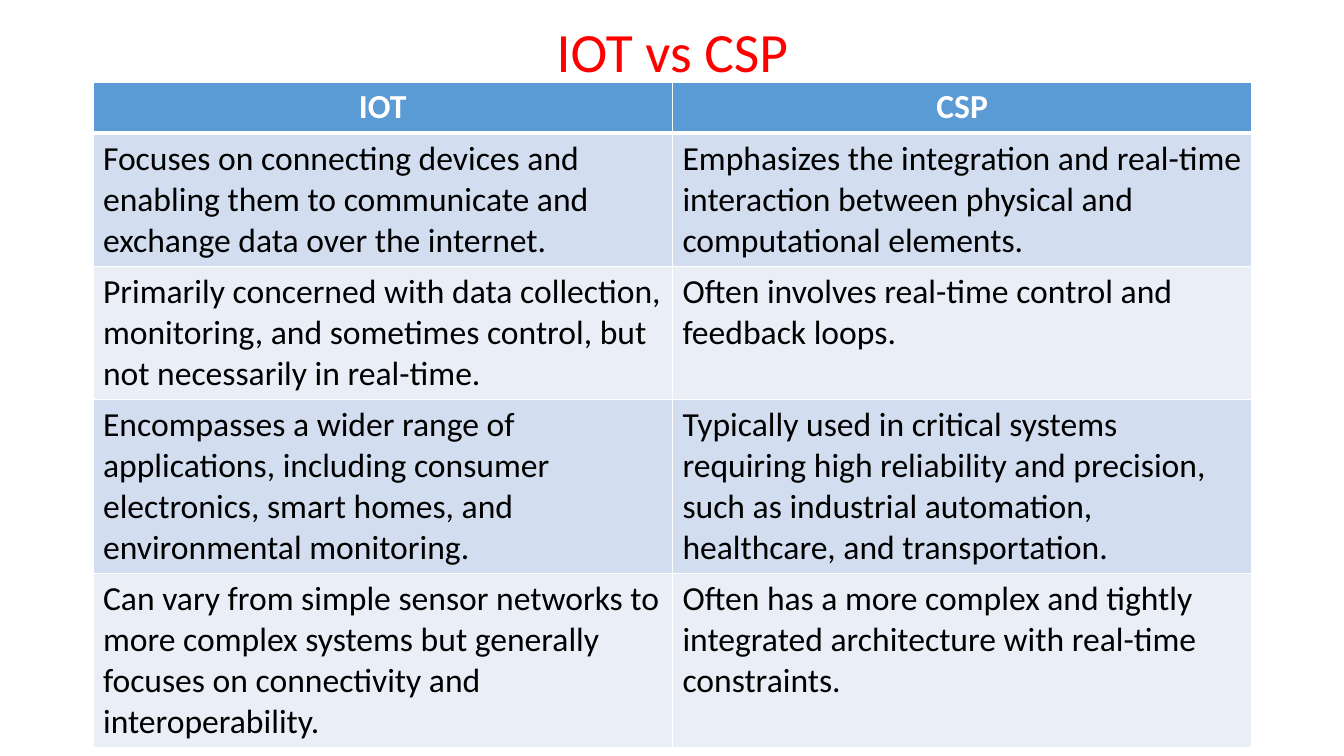
"""Build the slide comparing IOT and CSP in a two-column table."""
from dataclasses import dataclass

from lxml.etree import SubElement
from pptx import Presentation
from pptx.dml.color import RGBColor
from pptx.enum.text import MSO_ANCHOR, MSO_AUTO_SIZE, PP_ALIGN
from pptx.oxml.ns import qn
from pptx.util import Emu, Pt


@dataclass(frozen=True)
class Theme:
    font: str = "Calibri"
    title_size: float = 39.6
    table_size: int = 24
    title: str = "FF0000"
    header: str = "5B9BD5"
    header_text: str = "FFFFFF"
    body_text: str = "000000"
    bands: tuple = ("D2DEEF", "EAEFF7")
    border: str = "FFFFFF"


def px(length):
    return Emu(round(length * 914400 / 100.8))


def add_border(cell, side, points):
    line = SubElement(cell._tc.get_or_add_tcPr(), qn(f"a:ln{side}"), w=str(Pt(points)))
    fill = SubElement(line, qn("a:solidFill"))
    SubElement(fill, qn("a:srgbClr"), val=theme.border)


theme = Theme()
comparison = [
    (50, "IOT", "CSP"),
    (133,
     "Focuses on connecting devices and enabling them to communicate and exchange data over the internet.",
     "Emphasizes the integration and real-time interaction between physical and computational elements."),
    (133,
     "Primarily concerned with data collection, monitoring, and sometimes control, but not necessarily in real-time.",
     "Often involves real-time control and feedback loops."),
    (174,
     "Encompasses a wider range of applications, including consumer electronics, smart homes, "
     "and environmental monitoring.",
     "Typically used in critical systems requiring high reliability and precision, such as "
     "industrial automation, healthcare, and transportation."),
    (174,
     "Can vary from simple sensor networks to more complex systems but generally focuses on "
     "connectivity and interoperability.",
     "Often has a more complex and tightly integrated architecture with real-time constraints."),
]

presentation = Presentation()
presentation.slide_width, presentation.slide_height = px(1344), px(756)
slide = presentation.slides.add_slide(presentation.slide_layouts[5])

heading = slide.shapes.title
heading.left, heading.top, heading.width, heading.height = px(93), px(40), px(1159), px(30)
heading.text_frame.text = "IOT vs CSP"
heading.text_frame.auto_size = MSO_AUTO_SIZE.NONE
heading.text_frame.vertical_anchor = MSO_ANCHOR.MIDDLE
heading_line = heading.text_frame.paragraphs[0]
heading_line.alignment = PP_ALIGN.CENTER
heading_line.line_spacing = 0.9
heading_font = heading_line.runs[0].font
heading_font.name = theme.font
heading_font.size = Pt(theme.title_size)
heading_font.color.rgb = RGBColor.from_string(theme.title)

table_height = sum(height for height, *_ in comparison)
table = slide.shapes.add_table(
    len(comparison), 2, px(93), px(82), px(1159), px(table_height)).table

for row_index, (height, *aspects) in enumerate(comparison):
    is_header = row_index == 0
    table.rows[row_index].height = px(height)
    for column_index, aspect in enumerate(aspects):
        cell = table.cell(row_index, column_index)
        cell.text_frame.text = aspect
        for side in "LRTB":
            thick = (is_header and side == "B") or (row_index == 1 and side == "T")
            add_border(cell, side, 3 if thick else 1)
        cell.fill.solid()
        band = theme.header if is_header else theme.bands[(row_index - 1) % 2]
        cell.fill.fore_color.rgb = RGBColor.from_string(band)
        paragraph = cell.text_frame.paragraphs[0]
        paragraph.alignment = PP_ALIGN.CENTER if is_header else PP_ALIGN.LEFT
        font = paragraph.runs[0].font
        font.name = theme.font
        font.size = Pt(theme.table_size)
        font.bold = is_header
        font.color.rgb = RGBColor.from_string(theme.header_text if is_header else theme.body_text)

presentation.save("out.pptx")
